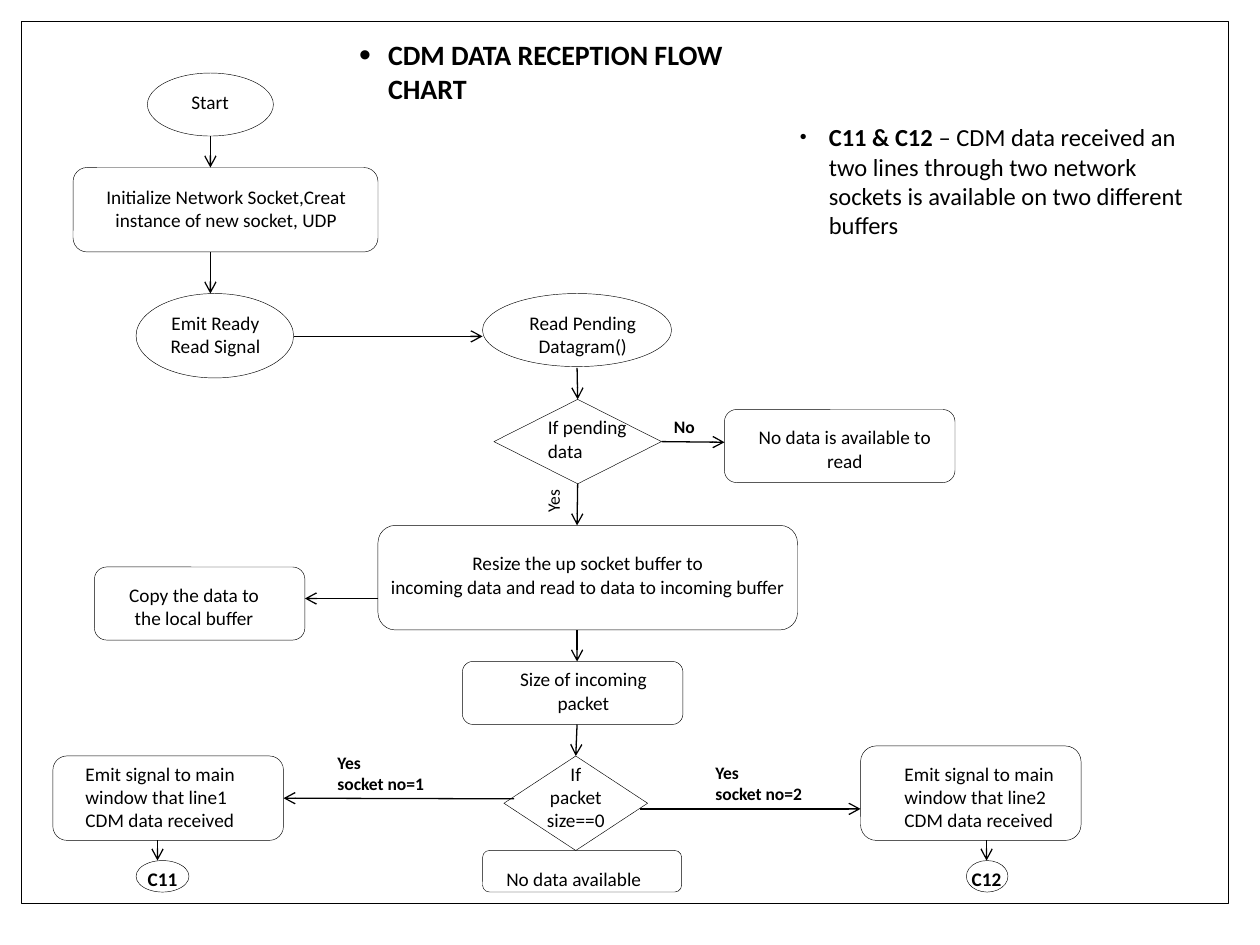
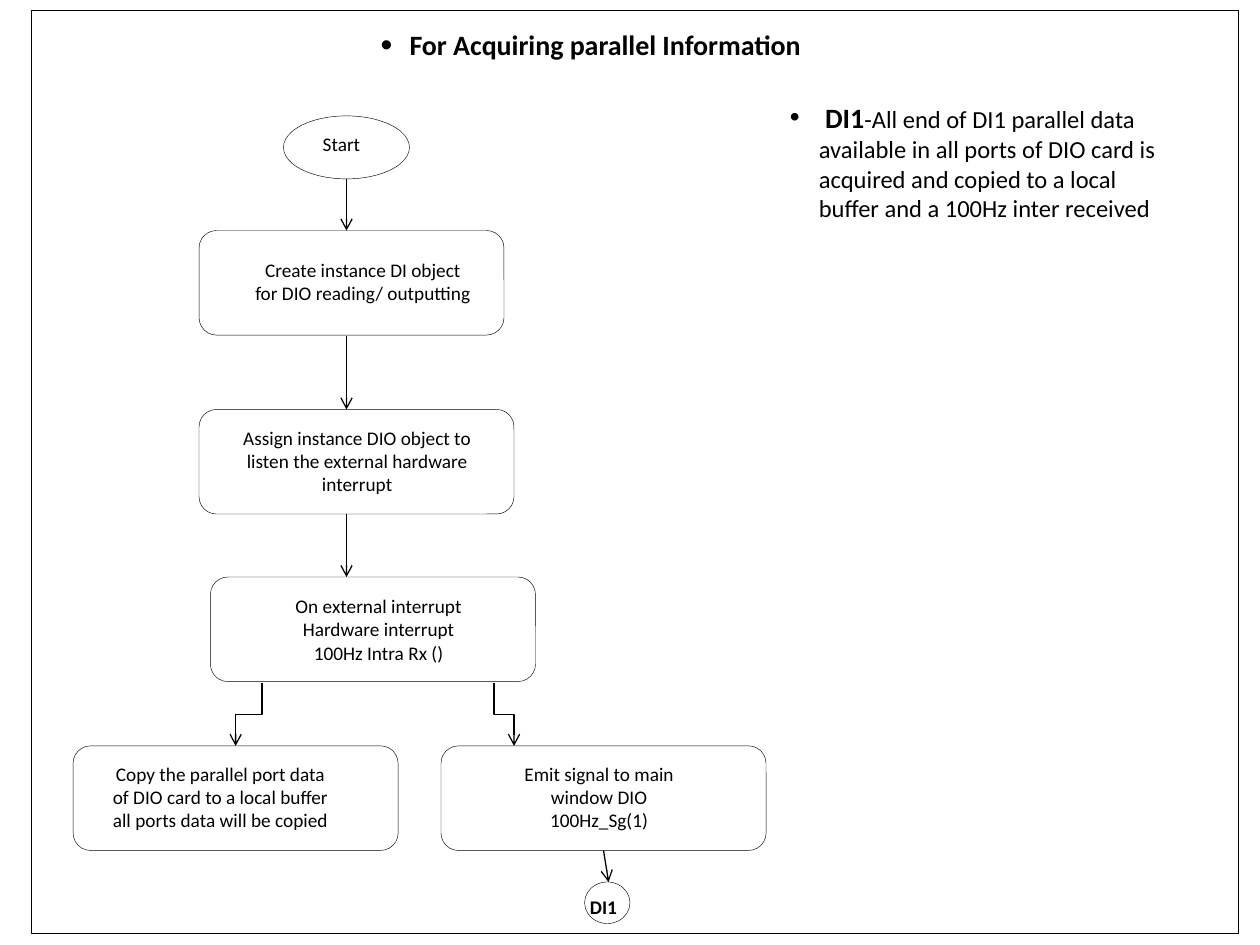
from lxml import etree
from pptx import Presentation
from pptx.dml.color import RGBColor
from pptx.enum.shapes import MSO_CONNECTOR, MSO_SHAPE
from pptx.enum.text import MSO_ANCHOR, MSO_AUTO_SIZE, PP_ALIGN
from pptx.oxml.ns import qn
from pptx.util import Inches, Pt

FONT, BLACK = "Calibri", "000000"
LEFT, CENTER = PP_ALIGN.LEFT, PP_ALIGN.CENTER
TOP, NO_FIT = MSO_ANCHOR.TOP, MSO_AUTO_SIZE.NONE
STRAIGHT, ELBOW = MSO_CONNECTOR.STRAIGHT, MSO_CONNECTOR.ELBOW
OVAL, BOX = MSO_SHAPE.OVAL, MSO_SHAPE.ROUNDED_RECTANGLE
DECISION, FRAME = MSO_SHAPE.FLOWCHART_DECISION, MSO_SHAPE.RECTANGLE
JOIN_GAP = 0.025

RECEPTION = {
    "title": ("CDM DATA RECEPTION FLOW CHART", (2.75, 0.25, 3.67, 0.64)),
    "frame": (0.17, 0.17, 9.58, 7),
    "note": ((6.25, 0.92, 3.33, 1.1), 80, [
        ("C11 & C12 ", 14, True),
        ("– CDM data received an two lines through two network sockets "
         "is available on two different buffers", 14, False)]),
    "steps": [
        (OVAL, (1.17, 0.58, 1, 0.5), "Start", (1.42, 0.67, 0.58, 0.29), LEFT, False),
        (BOX, (0.58, 1.33, 2.42, 0.67),
         "Initialize Network Socket,Creat instance of new socket, UDP",
         (0.67, 1.42, 2.25, 0.47), CENTER, False),
        (OVAL, (1.08, 2.33, 1.25, 0.67), "Emit Ready Read Signal",
         (1.17, 2.42, 1.08, 0.47), CENTER, False),
        (OVAL, (3.83, 2.33, 1.5, 0.58), "Read Pending Datagram()",
         (4, 2.42, 1.25, 0.47), CENTER, False),
        (DECISION, (3.92, 3.17, 1.33, 0.67), "If pending\ndata",
         (4.25, 3.25, 1, 0.47), LEFT, False),
        (BOX, (5.75, 3.25, 1.83, 0.58), "No data is available to read",
         (5.83, 3.33, 1.75, 0.47), CENTER, False),
        (BOX, (3, 4.17, 3.33, 0.83),
         "Resize the up socket buffer to\nincoming data and read to data to incoming buffer",
         (3, 4.33, 3.33, 0.47), CENTER, False),
        (BOX, (0.75, 4.5, 1.67, 0.58), "Copy the data to the local buffer",
         (0.83, 4.58, 1.42, 0.47), CENTER, False),
        (BOX, (3.67, 5.25, 1.75, 0.5), "Size of incoming packet",
         (3.92, 5.25, 1.42, 0.47), CENTER, False),
        (DECISION, (4, 6, 1.14, 0.75), "If\npacket\nsize==0",
         (4, 6, 1.14, 0.65), CENTER, False),
        (BOX, (0.42, 6, 1.83, 0.67),
         "Emit signal to main window that line1 CDM data received",
         (0.58, 6, 1.58, 0.65), LEFT, False),
        (BOX, (6.83, 5.92, 1.75, 0.75),
         "Emit signal to main window that line2 CDM data received",
         (7.08, 6, 1.42, 0.65), LEFT, False),
        (BOX, (3.83, 6.75, 1.58, 0.33), "No data available",
         (3.92, 6.83, 1.33, 0.29), LEFT, False),
        (OVAL, (1.08, 6.83, 0.42, 0.25), "C11", (1, 6.83, 0.58, 0.29), CENTER, True),
        (OVAL, (7.67, 6.83, 0.33, 0.25), "C12", (7.58, 6.83, 0.5, 0.29), CENTER, True),
    ],
    "branches": [
        ("Yes", (4.18, 3.82, 0.42, 0.27), False, 270),
        ("No", (5.25, 3.25, 0.42, 0.27), True, 0),
        ("Yes\nsocket no=1", (2.58, 5.92, 1, 0.44), True, 0),
        ("Yes\nsocket no=2", (5.58, 6, 1, 0.44), True, 0),
    ],
    "arrows": [
        (1.67, 1.08, 1.67, 1.33), (1.67, 2, 1.67, 2.33),
        (2.33, 2.67, 3.83, 2.67), (4.58, 2.92, 4.58, 3.17),
        (5.25, 3.5, 5.75, 3.51), (4.58, 3.83, 4.58, 4.17),
        (3, 4.75, 2.42, 4.75), (4.58, 5, 4.58, 5.25),
        (4.58, 5.75, 4.58, 6), (4.08, 6.34, 2.25, 6.33),
        (5.08, 6.42, 6.83, 6.42), (1.25, 6.67, 1.25, 6.83),
        (7.83, 6.67, 7.83, 6.83),
    ],
    "elbows": [],
}

PARALLEL = {
    "title": ("For Acquiring parallel Information", (2.92, 0.17, 3.83, 0.37)),
    "frame": (0.25, 0.08, 9.58, 7.33),
    "note": ((6.17, 0.75, 3.25, 1.07), 100, [
        (" DI1", 16, True),
        ("-All end of DI1 parallel data available in all ports of DIO card "
         "is acquired and copied to a local buffer and a 100Hz inter received", 14, False)]),
    "steps": [
        (OVAL, (2.25, 0.92, 1, 0.5), "Start", (2.42, 1, 0.58, 0.29), CENTER, False),
        (BOX, (1.58, 1.83, 2.42, 0.83),
         "Create instance DI object for DIO reading/ outputting",
         (1.92, 2, 1.92, 0.47), CENTER, False),
        (BOX, (1.58, 3.25, 2.5, 0.83),
         "Assign instance DIO object to listen the external hardware interrupt",
         (1.67, 3.33, 2.33, 0.65), CENTER, False),
        (BOX, (1.67, 4.58, 2.58, 0.83),
         "On external interrupt Hardware interrupt 100Hz Intra Rx ()",
         (2.17, 4.67, 1.67, 0.65), CENTER, False),
        (BOX, (0.58, 5.92, 2.58, 0.83),
         "Copy the parallel port data of DIO card to a local buffer all ports data will be copied",
         (0.75, 6, 2, 0.65), CENTER, False),
        (BOX, (3.5, 5.92, 2.58, 0.83), "Emit signal to main window DIO 100Hz_Sg(1)",
         (3.92, 6, 1.67, 0.65), CENTER, False),
        (OVAL, (4.64, 7, 0.36, 0.33), "DI1", (4.58, 7.06, 0.42, 0.29), CENTER, True),
    ],
    "branches": [],
    "arrows": [
        (2.75, 1.42, 2.75, 1.83), (2.75, 2.67, 2.75, 3.25),
        (2.75, 4.08, 2.75, 4.58), (4.79, 6.75, 4.83, 7),
    ],
    "elbows": [(2.08, 5.42, 1.87, 5.92), (3.92, 5.42, 4.08, 5.92)],
}


def color(hex_text):
    return RGBColor.from_string(hex_text)


def inches(values):
    return [Inches(v) for v in values]


def style_run(r, size, bold):
    r.font.name, r.font.size, r.font.bold = FONT, Pt(size), bold
    r.font.color.rgb = color(BLACK)


def add_bullet(p, percent):
    pPr = p._p.get_or_add_pPr()
    pPr.set("marL", str(Inches(0.23)))
    pPr.set("indent", str(-Inches(0.23)))
    clr = etree.SubElement(pPr, qn("a:buClr"))
    etree.SubElement(clr, qn("a:srgbClr"), val=BLACK)
    etree.SubElement(pPr, qn("a:buSzPct"), val=str(percent * 1000))
    etree.SubElement(pPr, qn("a:buFont"), typeface="Arial")
    etree.SubElement(pPr, qn("a:buChar"), char="•")


def prepare_frame(tf):
    tf.word_wrap, tf.auto_size, tf.vertical_anchor = True, NO_FIT, TOP


def add_text(slide, text, box, size=11, bold=False, align=LEFT):
    sp = slide.shapes.add_textbox(*inches(box))
    prepare_frame(sp.text_frame)
    sp.text_frame.text = text
    for p in sp.text_frame.paragraphs:
        p.alignment = align
        for r in p.runs:
            style_run(r, size, bold)
    return sp


def add_title(slide, text, box):
    sp = slide.shapes.title
    sp.left, sp.top, sp.width, sp.height = inches(box)
    prepare_frame(sp.text_frame)
    sp.text_frame.text = text
    p = sp.text_frame.paragraphs[0]
    add_bullet(p, 121)
    p.alignment = LEFT
    style_run(p.runs[0], 16, True)


def add_note(slide, box, percent, runs):
    sp = slide.shapes.add_textbox(*inches(box))
    prepare_frame(sp.text_frame)
    p = sp.text_frame.paragraphs[0]
    add_bullet(p, percent)
    for text, size, bold in runs:
        r = p.add_run()
        r.text = text
        style_run(r, size, bold)


def add_outline(slide, kind, box):
    sp = slide.shapes.add_shape(kind, *inches(box))
    sp.shadow.inherit = False
    sp.fill.background()
    sp.line.color.rgb = color(BLACK)
    sp.line.width = Pt(0.25)
    return sp


def add_arrow(slide, kind, points):
    line = slide.shapes.add_connector(kind, *inches(points))
    line.line.color.rgb = color(BLACK)
    line.line.width = Pt(0.75)
    etree.SubElement(line.line._get_or_add_ln(), qn("a:tailEnd"), type="arrow")
    etree.SubElement(line._element.spPr, qn("a:effectLst"))
    return line


def add_elbow(slide, x1, y1, x2, y2):
    cx, cy = (x1 + x2) / 2, (y1 + y2) / 2
    half_run, half_shift = (y2 - y1) / 2, abs(x2 - x1) / 2
    turn = 90 if x2 < x1 else 270
    if turn == 270:
        half_run = -half_run
    line = add_arrow(slide, ELBOW, (cx - half_run, cy - half_shift,
                                    cx + half_run, cy + half_shift))
    line._element.spPr.find(qn("a:xfrm")).set("rot", str(turn * 60000))


def find_side(x, y, outlines):
    for sp, (left, top, width, height) in outlines:
        middles = [(left + width / 2, top), (left, top + height / 2),
                   (left + width / 2, top + height), (left + width, top + height / 2)]
        for side, (mx, my) in enumerate(middles):
            if max(abs(mx - x), abs(my - y)) <= JOIN_GAP:
                return sp, side
    return None


def build_slide(prs, chart):
    slide = prs.slides.add_slide(prs.slide_layouts[5])
    add_title(slide, *chart["title"])
    add_outline(slide, FRAME, chart["frame"])
    outlines = []
    for kind, box, text, text_box, align, bold in chart["steps"]:
        sp = add_outline(slide, kind, box)
        if kind != OVAL:
            outlines.append((sp, box))
        add_text(slide, text, text_box, bold=bold, align=align)
    for x1, y1, x2, y2 in chart["arrows"]:
        line = add_arrow(slide, STRAIGHT, (x1, y1, x2, y2))
        start, end = find_side(x1, y1, outlines), find_side(x2, y2, outlines)
        if start:
            line.begin_connect(*start)
        if end:
            line.end_connect(*end)
    for points in chart["elbows"]:
        add_elbow(slide, *points)
    for text, box, bold, turn in chart["branches"]:
        add_text(slide, text, box, 10, bold).rotation = turn
    add_note(slide, *chart["note"])


def main():
    prs = Presentation()
    prs.slide_width, prs.slide_height = Inches(10), Inches(7.5)
    for chart in (RECEPTION, PARALLEL):
        build_slide(prs, chart)
    prs.save("out.pptx")


if __name__ == "__main__":
    main()
